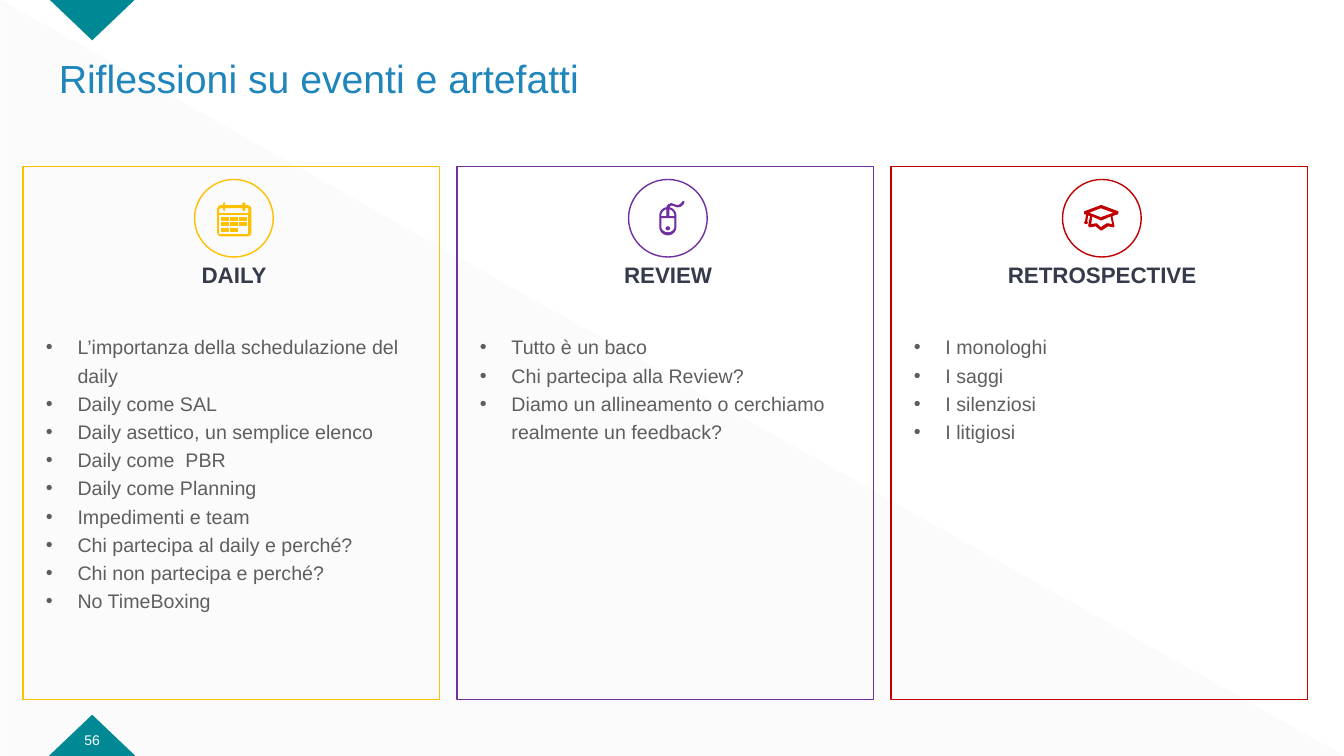
from math import cos, radians, sin

from lxml import etree
from pptx import Presentation
from pptx.dml.color import RGBColor
from pptx.enum import shapes, text
from pptx.oxml import ns
from pptx.util import Pt

WHITE = RGBColor(0xFF, 0xFF, 0xFF)
PALE = RGBColor(0xFC, 0xFB, 0xFB)
TEAL = RGBColor(0x00, 0x89, 0x95)
BLUE = RGBColor(0x1F, 0x85, 0xBB)
NAVY = RGBColor(0x35, 0x3B, 0x4A)
GREY = RGBColor(0x5E, 0x5E, 0x5E)
YELLOW = RGBColor(0xFF, 0xC0, 0x00)
PURPLE = RGBColor(0x70, 0x30, 0xA0)
RED = RGBColor(0xC0, 0x00, 0x00)


# Icon outlines, in hundredths of an inch from the icon's own corner
def box(left, top, width, height):
    return [(left, top), (left + width, top),
            (left + width, top + height), (left, top + height)]


def arc(cx, cy, rx, ry, start, end, steps=12):
    angles = [radians(start + (end - start) * i / steps) for i in range(steps + 1)]
    return [(cx + rx * cos(a), cy + ry * sin(a)) for a in angles]


CALENDAR = [
    [(3, 3), (6, 3), (6, 1), (6.5, 0), (7, 1), (7, 3), (25, 3), (25, 1), (26, 0),
     (27, 1), (27, 3), (30, 3), (32, 4), (33, 6), (33, 30), (32, 32), (30, 33),
     (3, 33), (1, 32), (0, 30), (0, 6), (1, 4)],
    box(1, 12, 30, 20),
    [(1, 11), (1, 6), (3, 5), (6, 5), (6, 7), (6.5, 8), (7, 7), (7, 5), (25, 5),
     (25, 7), (26, 8), (27, 7), (27, 5), (30, 5), (31, 6), (31, 11)],
] + [box(x, y, 3, 3)
     for y, days in ((15, 6), (20, 6), (26, 4))
     for x in (4, 8, 13, 17, 22, 26)[:days]]
MOUSE = [
    [(24, 0), (23, 0), (21, 2.5), (19, 3.7), (17, 3.8), (14, 3), (11.5, 2), (9, 3),
     (7.5, 4.5), (7, 6)] + arc(8, 14, 8, 8, 270, 180) + arc(8, 25, 8, 8, 180, 0)
    + arc(8, 14, 8, 8, 0, -80) + [(10, 4), (11.5, 3.3), (14, 4), (17, 5.2),
                                  (20, 5), (22.5, 3.2), (24, 1)],
    [(1, 16), (15, 16)] + arc(8, 25, 7, 6, 0, 180),
    [(1, 15)] + arc(8, 14, 7, 7, 180, 262) + [(7, 15), (9, 15)]
    + arc(8, 14, 7, 7, 278, 360) + [(15, 15)],
    arc(8, 26.5, 1.7, 1.5, 0, 360),
]
CAP = [
    [(33, 7), (33, 6), (17, 0), (16, 0), (0, 6), (0, 8), (2, 8), (1, 15), (0, 17),
     (1, 18), (3, 17), (2, 16), (3, 9), (6, 10), (4, 20), (5, 21), (11, 20),
     (16, 24), (17, 24), (23, 20), (29, 21), (29, 20), (27, 10), (33, 8)],
    [(28, 19), (23, 18), (22, 18), (16, 22), (12, 18), (11, 18), (6, 19), (7, 10),
     (16, 14), (17, 14), (26, 10)],
    [(16, 12), (3, 7), (16, 2), (30, 7)],
]

# Content: heading, colour, icon, icon offset inside its circle, points
TITLE = "Riflessioni su eventi e artefatti"
PAGE = "56"
CARDS = [
    ("DAILY", YELLOW, CALENDAR, (16.56, 16.56), [
        "L’importanza della schedulazione del daily",
        "Daily come SAL",
        "Daily asettico, un semplice elenco",
        "Daily come  PBR",
        "Daily come Planning",
        "Impedimenti e team",
        "Chi partecipa al daily e perché?",
        "Chi non partecipa e perché?",
        "No TimeBoxing"]),
    ("REVIEW", PURPLE, MOUSE, (22.32, 15.84), [
        "Tutto è un baco",
        "Chi partecipa alla Review?",
        "Diamo un allineamento o cerchiamo realmente un feedback?"]),
    ("RETROSPECTIVE", RED, CAP, (15.84, 18.72), [
        "I monologhi", "I saggi", "I silenziosi", "I litigiosi"]),
]
CARD_LEFT, CARD_TOP, CARD_PITCH = 16.56, 118.8, 310
CARD_WIDTH, CARD_HEIGHT = 297.4, 380.9

deck = Presentation()
deck.slide_width, deck.slide_height = Pt(960), Pt(540)
slide = deck.slides.add_slide(deck.slide_layouts[6])


def add_preset(kind, area, fill=None, line=None):
    shape = slide.shapes.add_shape(kind, *map(Pt, area))
    paint(shape, fill, line, 1)
    return shape


def paint(shape, fill, line, weight):
    shape.shadow.inherit = False
    if fill is None:
        shape.fill.background()
    else:
        shape.fill.solid()
        shape.fill.fore_color.rgb = fill
    if line is None:
        shape.line.fill.background()
    else:
        shape.line.color.rgb = line
        shape.line.width = Pt(weight)


def add_text(area, lines, size, color, anchor=text.MSO_ANCHOR.TOP, align=None,
             spacing=None, bold=False, inset=True, bullets=False):
    frame = slide.shapes.add_textbox(*map(Pt, area)).text_frame
    frame.word_wrap = True
    frame.vertical_anchor = anchor
    if not inset:
        frame.margin_left = frame.margin_right = 0
        frame.margin_top = frame.margin_bottom = 0
    frame.text = "\n".join(lines)
    for paragraph in frame.paragraphs:
        paragraph.alignment = align
        paragraph.line_spacing = spacing
        if bullets:
            props = paragraph._p.get_or_add_pPr()
            props.set("marL", str(Pt(22.5)))
            props.set("indent", str(-Pt(22.5)))
            etree.SubElement(props, ns.qn("a:buFont")).set("typeface", "Arial")
            etree.SubElement(props, ns.qn("a:buChar")).set("char", "•")
        for run in paragraph.runs:
            run.font.name, run.font.size = "Arial", Pt(size)
            run.font.bold = bold
            run.font.color.rgb = color


def add_icon(outlines, left, top, color):
    # Ten local units per hundredth of an inch keep the curves smooth
    contours = [[(x * 10, y * 10) for x, y in outline] for outline in outlines]
    builder = slide.shapes.build_freeform(*contours[0][0], scale=Pt(0.072))
    for number, contour in enumerate(contours):
        if number:
            builder.move_to(*contour[0])
        builder.add_line_segments(contour[1:], close=True)
    paint(builder.convert_to_shape(Pt(left), Pt(top)), color, color, 0.75)


# Backdrop and page markers
TRIANGLE = shapes.MSO_SHAPE.ISOSCELES_TRIANGLE
backdrop = add_preset(TRIANGLE, (0.5, 0, 960, 540), PALE)
backdrop.adjustments[0] = 0
top_marker = add_preset(TRIANGLE, (34.9, -0.7, 61.9, 29.5), TEAL)
top_marker.rotation = 180
add_preset(TRIANGLE, (34.9, 510.5, 61.9, 29.5), TEAL)

# Title and page number
MIDDLE, CENTER = text.MSO_ANCHOR.MIDDLE, text.PP_ALIGN.CENTER
add_text((34.9, 39.6, 899, 36), [TITLE], 28, BLUE, MIDDLE, spacing=0.9)
add_text((43.9, 519.8, 43.9, 18), [PAGE], 10, WHITE, MIDDLE, CENTER)

# Cards
for index, (heading, color, icon, (dx, dy), points) in enumerate(CARDS):
    left = CARD_LEFT + index * CARD_PITCH
    circle_left, circle_top = left + 122.4, CARD_TOP + 9.4
    add_preset(shapes.MSO_SHAPE.RECTANGLE,
               (left, CARD_TOP, CARD_WIDTH, CARD_HEIGHT), line=color)
    add_text((left + 69, CARD_TOP + 72, 163.4, 15.2), [heading], 16, NAVY,
             align=CENTER, spacing=Pt(15.2), bold=True, inset=False)
    add_preset(shapes.MSO_SHAPE.OVAL, (circle_left, circle_top, 56.2, 55.4), line=color)
    add_text((left + 9.2, CARD_TOP + 113.8, 282.2, 208.8), points, 14, GREY,
             spacing=1.2, bullets=True)
    add_icon(icon, circle_left + dx, circle_top + dy, color)

deck.save("out.pptx")
